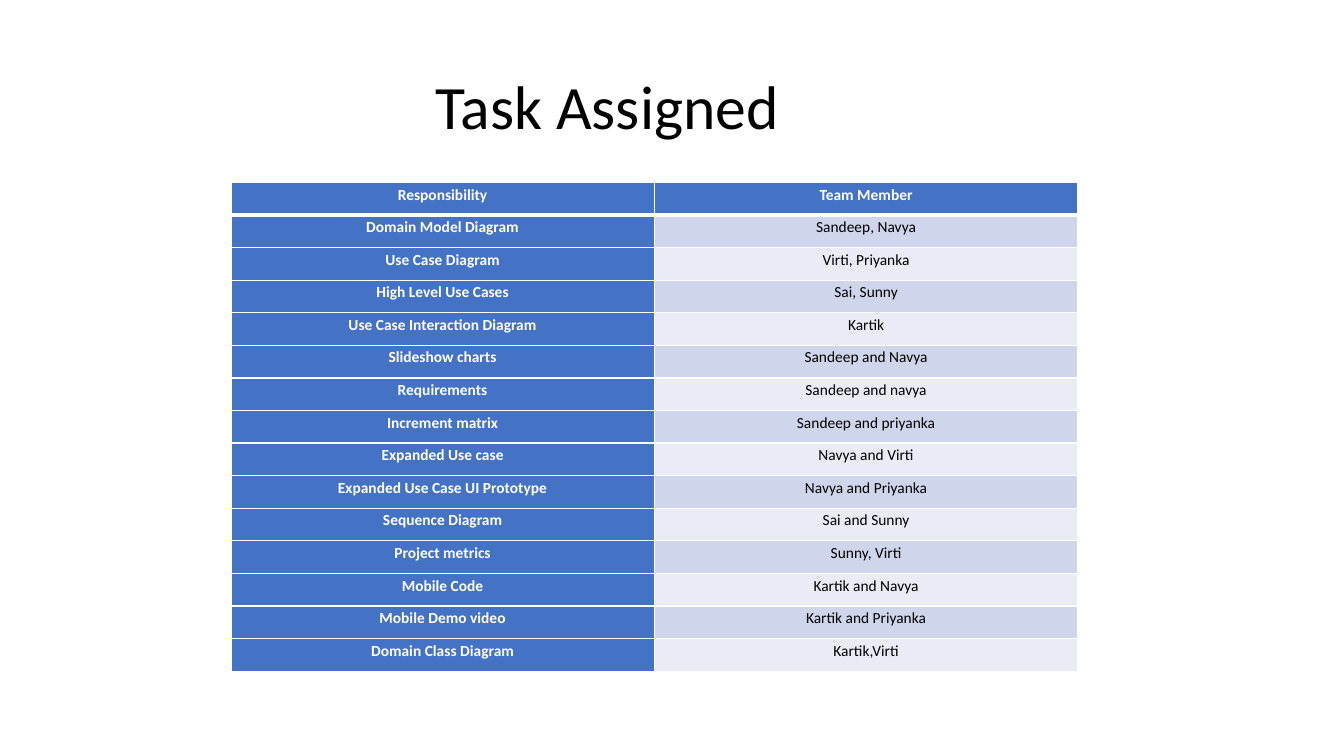
from dataclasses import dataclass

from lxml import etree
from pptx import Presentation
from pptx.dml.color import RGBColor
from pptx.enum import text
from pptx.oxml import ns
from pptx.slide import Slide
from pptx.table import _Cell
from pptx.util import Inches, Pt

BLACK = RGBColor(0x00, 0x00, 0x00)
WHITE = RGBColor(0xFF, 0xFF, 0xFF)
BLUE = RGBColor(0x44, 0x72, 0xC4)
BAND_DARK = RGBColor(0xCF, 0xD5, 0xEA)
BAND_LIGHT = RGBColor(0xE9, 0xEB, 0xF5)
FONT = "Calibri"


@dataclass(frozen=True)
class Task:
    responsibility: str
    members: str


HEADINGS = Task("Responsibility", "Team Member")
TASKS = [
    Task("Domain Model Diagram", "Sandeep, Navya"),
    Task("Use Case Diagram", "Virti, Priyanka"),
    Task("High Level Use Cases", "Sai, Sunny"),
    Task("Use Case Interaction Diagram", "Kartik"),
    Task("Slideshow charts", "Sandeep and Navya"),
    Task("Requirements", "Sandeep and navya"),
    Task("Increment matrix", "Sandeep and priyanka"),
    Task("Expanded Use case", "Navya and Virti"),
    Task("Expanded Use Case UI Prototype", "Navya and Priyanka"),
    Task("Sequence Diagram", "Sai and Sunny"),
    Task("Project metrics", "Sunny, Virti"),
    Task("Mobile Code", "Kartik and Navya"),
    Task("Mobile Demo video", "Kartik and Priyanka"),
    Task("Domain Class Diagram", "Kartik,Virti"),
]


def set_borders(cell: _Cell, top: float, bottom: float) -> None:
    properties = cell._tc.get_or_add_tcPr()
    widths = {"lnL": 1, "lnR": 1, "lnT": top, "lnB": bottom}
    for position, (side, width) in enumerate(widths.items()):
        line = etree.Element(ns.qn(f"a:{side}"), w=str(Pt(width)))
        fill = etree.SubElement(line, ns.qn("a:solidFill"))
        etree.SubElement(fill, ns.qn("a:srgbClr"), val=str(WHITE))
        properties.insert(position, line)


def fill_cell(cell: _Cell, words: str, fill: RGBColor, emphasized: bool) -> None:
    cell.margin_left = cell.margin_right = Inches(0.07)
    cell.margin_top = cell.margin_bottom = 0
    cell.fill.solid()
    cell.fill.fore_color.rgb = fill
    cell.text = words
    paragraph = cell.text_frame.paragraphs[0]
    paragraph.alignment = text.PP_ALIGN.CENTER
    paragraph.line_spacing = 1.15
    paragraph.font.name = FONT
    paragraph.font.size = Pt(11)
    paragraph.font.bold = emphasized
    paragraph.font.color.rgb = WHITE if emphasized else BLACK


def add_title(slide: Slide, words: str) -> None:
    title = slide.shapes.add_textbox(
        Inches(0.92), Inches(0.36), Inches(11.5), Inches(1.45)
    )
    frame = title.text_frame
    frame.word_wrap = True
    frame.margin_left = Inches(3.4)
    frame.vertical_anchor = text.MSO_ANCHOR.MIDDLE
    paragraph = frame.paragraphs[0]
    paragraph.text = words
    paragraph.line_spacing = 0.9
    paragraph.font.name = FONT
    paragraph.font.size = Pt(44)
    paragraph.font.color.rgb = BLACK


def add_assignments(slide: Slide, tasks: list[Task]) -> None:
    rows = [HEADINGS, *tasks]
    assignments = slide.shapes.add_table(
        len(rows), 2, Inches(2.29), Inches(1.81), Inches(8.4), Inches(4.85)
    ).table
    assignments.first_col = True
    for index, task in enumerate(rows):
        is_header = index == 0
        band = BAND_DARK if index % 2 else BAND_LIGHT
        responsibility, members = assignments.rows[index].cells
        fill_cell(responsibility, task.responsibility, BLUE, True)
        fill_cell(members, task.members, BLUE if is_header else band, is_header)
        for cell in (responsibility, members):
            set_borders(cell, 3 if index == 1 else 1, 3 if is_header else 1)


def main() -> None:
    deck = Presentation()
    deck.slide_width = Inches(13.33)
    deck.slide_height = Inches(7.5)
    slide = deck.slides.add_slide(deck.slide_layouts[6])
    add_title(slide, "Task Assigned")
    add_assignments(slide, TASKS)
    deck.save("out.pptx")


if __name__ == "__main__":
    main()
